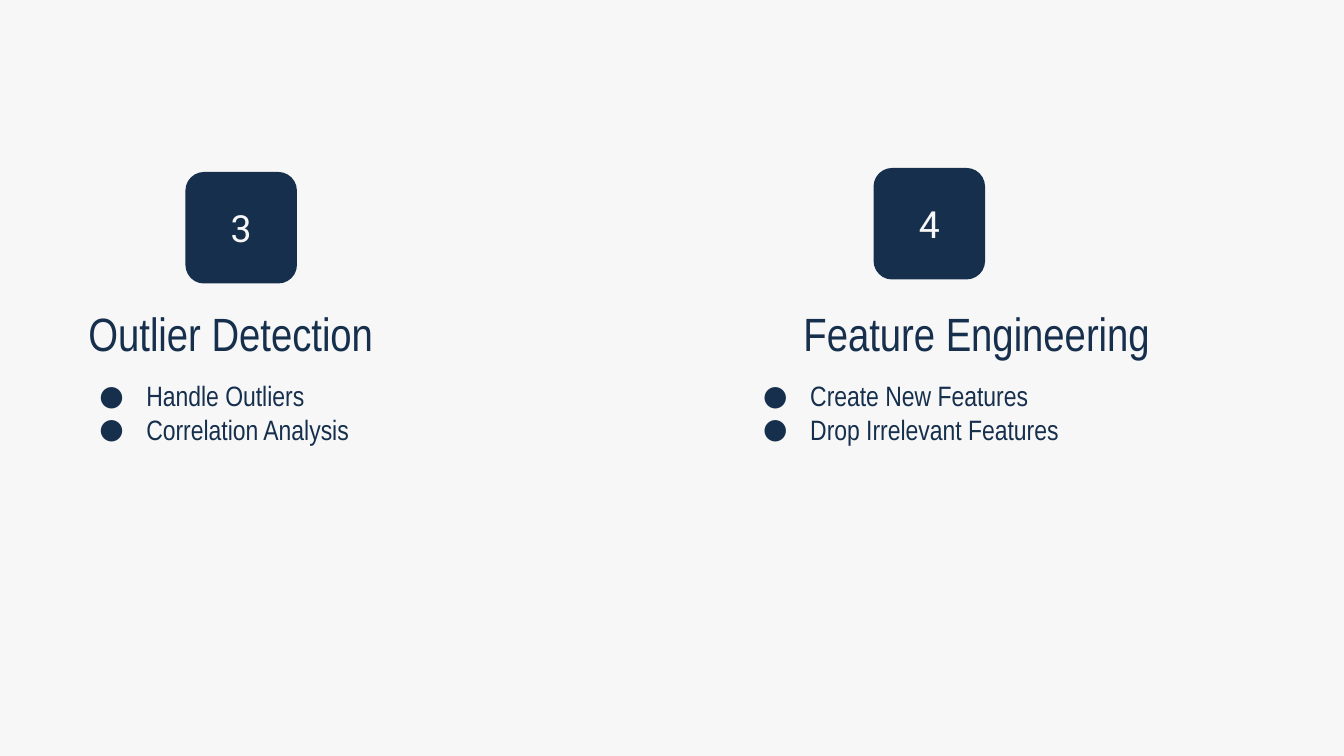
from lxml import etree
from pptx import Presentation
from pptx.dml.color import RGBColor
from pptx.enum import shapes, text
from pptx.oxml.ns import qn
from pptx.util import Inches, Pt

NAVY = RGBColor(0x15, 0x2F, 0x4D)
PAPER = RGBColor(0xF8, 0xF7, 0xF7)
INSET = Inches(0.1)
BADGE_SIZE = 0.83

HEADING = {"name": "Arial Narrow", "size": Pt(25)}
ITEM = {"name": "Arial Narrow", "size": Pt(15)}
NUMBER = {"name": "Roboto", "size": Pt(20)}

# Each box is left, top, width, height in inches.
STEPS = [
    {"number": "3", "heading": "Outlier Detection",
     "items": ["Handle Outliers", "Correlation Analysis"],
     "badge_at": (1.38, 1.28), "heading_box": (0.56, 2.17, 2.77, 0.49),
     "items_box": (0.49, 2.72, 3.28, 0.72)},
    {"number": "4", "heading": "Feature Engineering",
     "items": ["Create New Features", "Drop Irrelevant Features"],
     "badge_at": (6.5, 1.25), "heading_box": (5.88, 2.17, 3.14, 0.63),
     "items_box": (5.43, 2.72, 3.88, 1.24)},
]


def fill_frame(frame, lines, style, color, anchor=text.MSO_ANCHOR.TOP):
    """Write one paragraph per line, all in the same style."""
    settings = {"word_wrap": True, "vertical_anchor": anchor}
    settings.update({f"margin_{side}": INSET
                     for side in ("left", "top", "right", "bottom")})
    for name, value in settings.items():
        setattr(frame, name, value)
    for index, line in enumerate(lines):
        para = frame.add_paragraph() if index else frame.paragraphs[0]
        span = para.add_run()
        span.text = line
        for name, value in style.items():
            setattr(span.font, name, value)
        span.font.color.rgb = color


def add_bullet(para):
    props = para._p.get_or_add_pPr()
    props.set("marL", str(Inches(0.5)))
    props.set("indent", str(Inches(-0.35)))
    color = etree.SubElement(props, qn("a:buClr"))
    etree.SubElement(color, qn("a:srgbClr"), val=str(NAVY))
    etree.SubElement(props, qn("a:buFont"), typeface="Roboto")
    etree.SubElement(props, qn("a:buChar"), char="●")


def add_text(page, box, lines, style):
    shape = page.shapes.add_textbox(*map(Inches, box))
    fill_frame(shape.text_frame, lines, style, NAVY)
    return shape.text_frame


def add_badge(page, left, top, number):
    badge = page.shapes.add_shape(
        shapes.MSO_SHAPE.ROUNDED_RECTANGLE,
        *map(Inches, (left, top, BADGE_SIZE, BADGE_SIZE)))
    badge.shadow.inherit = False
    badge.fill.solid()
    badge.fill.fore_color.rgb = NAVY
    badge.line.fill.background()
    fill_frame(badge.text_frame, [number], NUMBER, PAPER, text.MSO_ANCHOR.MIDDLE)
    badge.text_frame.paragraphs[0].alignment = text.PP_ALIGN.CENTER


def add_step(page, step):
    add_text(page, step["heading_box"], [step["heading"]], HEADING)
    items = add_text(page, step["items_box"], step["items"], ITEM)
    for para in items.paragraphs:
        add_bullet(para)
    add_badge(page, *step["badge_at"], step["number"])


def main():
    deck = Presentation()
    deck.slide_width = Inches(10)
    deck.slide_height = deck.slide_width * 9 // 16
    page = deck.slides.add_slide(deck.slide_layouts.get_by_name("Blank"))
    page.background.fill.solid()
    page.background.fill.fore_color.rgb = PAPER
    for step in STEPS:
        add_step(page, step)
    deck.save("out.pptx")


if __name__ == "__main__":
    main()
